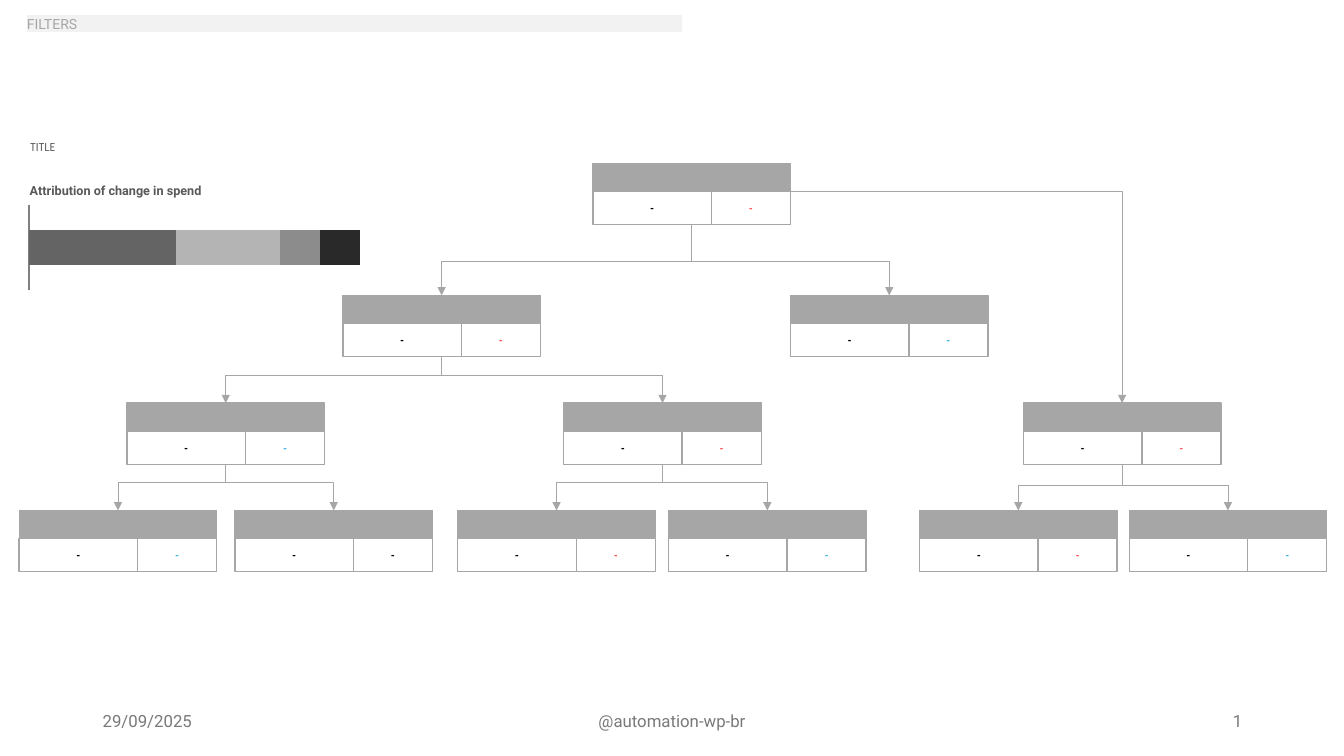
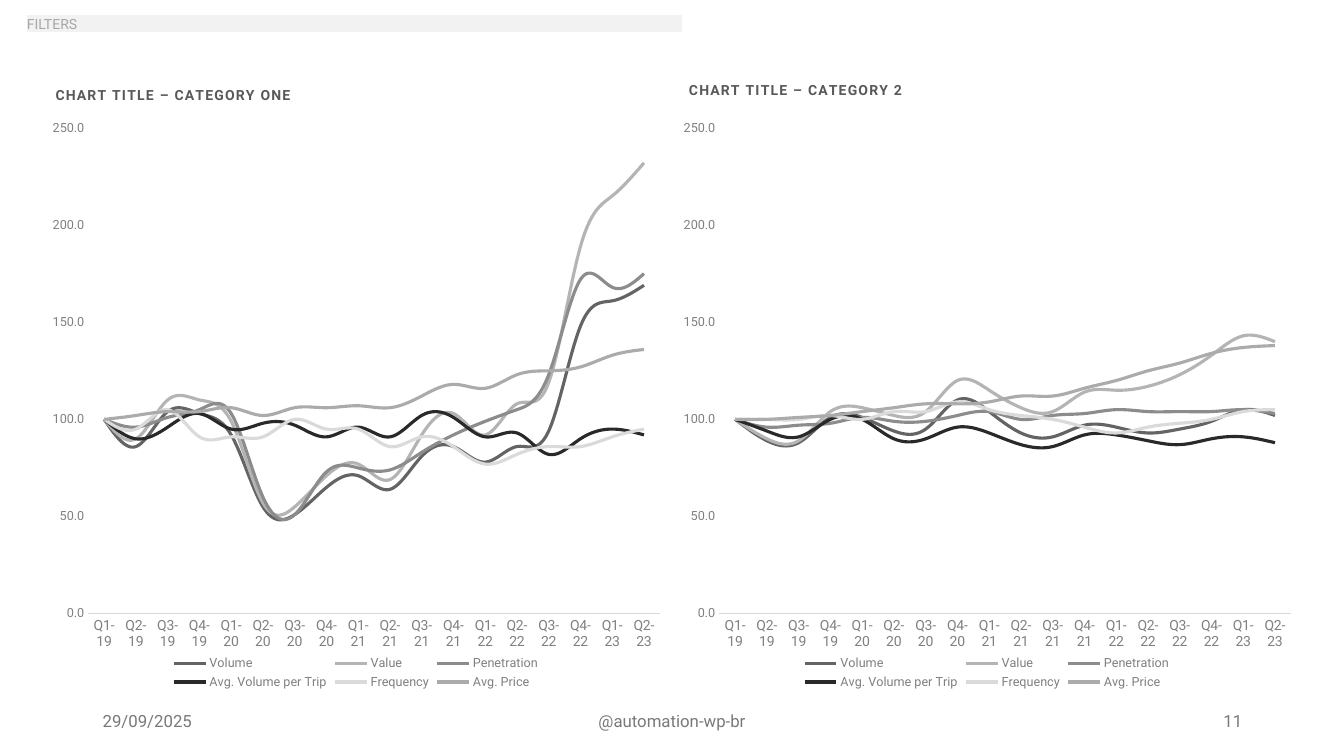
from lxml import etree
from pptx import Presentation
from pptx.chart.data import CategoryChartData
from pptx.dml.color import RGBColor
from pptx.enum.chart import XL_CHART_TYPE, XL_LEGEND_POSITION, XL_TICK_LABEL_POSITION, XL_TICK_MARK
from pptx.enum.shapes import MSO_CONNECTOR, MSO_SHAPE
from pptx.enum.text import MSO_ANCHOR, PP_ALIGN
from pptx.oxml.ns import qn
from pptx.util import Inches, Pt

STACKED_BAR = XL_CHART_TYPE.BAR_STACKED_100
LINE_CHART = XL_CHART_TYPE.LINE
LEGEND_BOTTOM = XL_LEGEND_POSITION.BOTTOM
NO_LABELS = XL_TICK_LABEL_POSITION.NONE
NO_TICK = XL_TICK_MARK.NONE
ELBOW = MSO_CONNECTOR.ELBOW
RECTANGLE = MSO_SHAPE.RECTANGLE
TOP, MIDDLE = MSO_ANCHOR.TOP, MSO_ANCHOR.MIDDLE
LEFT, CENTER, RIGHT = PP_ALIGN.LEFT, PP_ALIGN.CENTER, PP_ALIGN.RIGHT

BODY, NARROW = "Roboto", "Roboto Condensed"
BLACK, WHITE, RED, BLUE = "000000", "FFFFFF", "FF5757", "44B3E1"
GREY, BAND, DARK, AXIS, RULE, FOOTER = "A6A6A6", "F2F2F2", "595959", "808080", "D9D9D9", "797979"
SERIES_COLOURS = ["646464", "B4B4B4", "8C8C8C", "292929", "DADADA", "ABABAB"]

NODE_WIDTH, HEADER_HEIGHT, VALUE_HEIGHT, VALUE_SHARE = 14.7, 3.7, 4.4, 0.6
LEVELS = [21.6, 39.07, 53.33, 67.53]
NODES = {
    "total": (44.11, 0, RED),
    "left": (25.51, 1, RED),
    "right": (58.81, 1, BLUE),
    "left a": (9.45, 2, BLUE),
    "left b": (41.94, 2, RED),
    "side": (76.14, 2, RED),
    "left a1": (1.43, 3, BLUE),
    "left a2": (17.48, 3, BLACK),
    "left b1": (34.06, 3, RED),
    "left b2": (49.74, 3, BLUE),
    "side 1": (68.42, 3, RED),
    "side 2": (84.02, 3, BLUE),
}
BRANCHES = [
    ("total", ("left", "right"), 0.67),
    ("left", ("left a", "left b"), 0.65),
    ("left a", ("left a1", "left a2"), 0.65),
    ("left b", ("left b1", "left b2"), 0.65),
    ("side", ("side 1", "side 2"), 0.69),
]

QUARTERS = [f"Q{quarter}-{year}" for year in range(19, 24) for quarter in range(1, 5)][:18]
MEASURES = ["Volume", "Value", "Penetration", "Avg. Volume per Trip", "Frequency", "Avg. Price"]
CATEGORY_ONE = [
    [100, 86, 104, 103, 92, 55, 51, 65, 71, 64, 81, 86, 78, 86, 94, 148, 161, 169],
    [100, 90, 110, 110, 99, 57, 55, 71, 77, 69, 92, 103, 92, 108, 119, 189, 215, 232],
    [100, 96, 101, 105, 103, 60, 51, 73, 75, 74, 83, 92, 99, 105, 123, 172, 168, 175],
    [100, 90, 96, 103, 95, 98, 97, 91, 96, 91, 102, 101, 91, 93, 82, 90, 95, 92],
    [100, 95, 105, 91, 91, 91, 100, 95, 95, 86, 91, 86, 77, 82, 86, 86, 91, 95],
    [100, 102, 104, 104, 106, 102, 106, 106, 107, 106, 112, 118, 116, 123, 125, 127, 133, 136],
]
CATEGORY_TWO = [
    [100, 89, 88, 101, 101, 94, 95, 110, 104, 93, 91, 97, 96, 93, 95, 99, 105, 102],
    [100, 90, 89, 104, 106, 102, 104, 120, 115, 106, 104, 114, 115, 117, 123, 133, 143, 140],
    [100, 96, 97, 98, 101, 99, 99, 102, 104, 100, 102, 103, 105, 104, 104, 104, 105, 103],
    [100, 94, 91, 100, 100, 90, 90, 96, 93, 87, 86, 92, 92, 89, 87, 90, 91, 88],
    [100, 100, 100, 102, 100, 104, 104, 109, 105, 102, 100, 96, 93, 96, 98, 100, 104, 105],
    [100, 100, 101, 102, 104, 106, 108, 108, 109, 112, 112, 116, 120, 125, 129, 134, 137, 138],
]


def colour(code):
    return RGBColor.from_string(code)


def set_font(font, size, code, name=BODY, bold=False):
    font.size, font.name, font.bold = Pt(size), name, bold
    font.color.rgb = colour(code)


def write(frame, text, size=12, code=BLACK, name=BODY, bold=False, align=LEFT, spacing=0):
    para = frame.paragraphs[0]
    para.alignment = align
    span = para.add_run()
    span.text = text
    set_font(span.font, size, code, name, bold)
    if spacing:
        span.font._element.set("spc", str(spacing))


def place(element, index, **shares):
    for old in element.findall(qn("c:layout")):
        element.remove(old)
    layout = etree.Element(qn("c:layout"))
    manual = etree.SubElement(layout, qn("c:manualLayout"))
    if "w" in shares:
        etree.SubElement(manual, qn("c:layoutTarget")).set("val", "inner")
    for side in "xy":
        etree.SubElement(manual, qn(f"c:{side}Mode")).set("val", "edge")
    for side, share in shares.items():
        etree.SubElement(manual, qn(f"c:{side}")).set("val", str(share))
    element.insert(index, layout)


class Report:
    def __init__(self):
        self.deck = Presentation()
        self.deck.slide_width, self.deck.slide_height = Inches(13.33), Inches(7.5)
        self.page = None

    def x(self, share):
        return round(self.deck.slide_width * share / 100)

    def y(self, share):
        return round(self.deck.slide_height * share / 100)

    def area(self, left, top, width, height):
        return self.x(left), self.y(top), self.x(width), self.y(height)

    def add_page(self, number):
        self.page = self.deck.slides.add_slide(self.deck.slide_layouts[6])
        for left, width, text, align in (
            (6.9, 22.5, "29/09/2025", LEFT),
            (33.13, 33.75, "@automation-wp-br", CENTER),
            (70.67, 22.5, number, RIGHT),
        ):
            self.label((left, 92.67, width, 5.33), text, anchor=MIDDLE, code=FOOTER, align=align)

    def add_filters(self):
        band = self.box((2, 2, 48.76, 2.27), BAND)
        frame = band.text_frame
        frame.vertical_anchor = TOP
        frame.margin_left = frame.margin_right = frame.margin_top = frame.margin_bottom = 0
        write(frame, "FILTERS", size=10, code=GREY)

    def label(self, area, text, anchor=TOP, **style):
        frame = self.page.shapes.add_textbox(*self.area(*area)).text_frame
        frame.word_wrap = True
        frame.vertical_anchor = anchor
        write(frame, text, **style)

    def box(self, area, fill, line=None):
        shape = self.page.shapes.add_shape(RECTANGLE, *self.area(*area))
        shape.shadow.inherit = False
        shape.fill.solid()
        shape.fill.fore_color.rgb = colour(fill)
        if line:
            shape.line.color.rgb = colour(line)
            shape.line.width = Pt(1)
        else:
            shape.line.fill.background()
        shape.text_frame.word_wrap = True
        shape.text_frame.vertical_anchor = MIDDLE
        return shape

    def node(self, left, level, change_colour):
        top = LEVELS[level]
        self.box((left, top, NODE_WIDTH, HEADER_HEIGHT), GREY, GREY)
        value_width = NODE_WIDTH * VALUE_SHARE
        for start, width, code in (
            (left, value_width, BLACK),
            (left + value_width, NODE_WIDTH - value_width, change_colour),
        ):
            cell = self.box((start, top + HEADER_HEIGHT, width, VALUE_HEIGHT), WHITE, GREY)
            write(cell.text_frame, "-", size=8, code=code, name=NARROW, bold=True, align=CENTER)

    def arrow(self, *ends):
        connector = self.page.shapes.add_connector(ELBOW, *ends)
        connector.line.color.rgb = colour(GREY)
        connector.line.width = Pt(0.5)
        etree.SubElement(connector.line._get_or_add_ln(), qn("a:tailEnd")).set("type", "triangle")
        properties = connector._element.spPr
        etree.SubElement(properties, qn("a:effectLst"))
        return properties

    def branch(self, parent, child, bend):
        (parent_left, parent_level, _), (child_left, child_level, _) = NODES[parent], NODES[child]
        x1, x2 = (self.x(left + NODE_WIDTH / 2) for left in (parent_left, child_left))
        y1, y2 = self.y(LEVELS[parent_level] + HEADER_HEIGHT), self.y(LEVELS[child_level])
        middle_x, middle_y = (x1 + x2) // 2, (y1 + y2) // 2
        half_drop, half_run = (y2 - y1) // 2, abs(x2 - x1) // 2
        turn = 1 if x2 < x1 else -1
        properties = self.arrow(
            middle_x - turn * half_drop, middle_y - half_run,
            middle_x + turn * half_drop, middle_y + half_run,
        )
        properties.find(qn("a:xfrm")).set("rot", str(turn % 4 * 5400000))
        geometry = properties.find(qn("a:prstGeom"))
        guides = geometry.find(qn("a:avLst"))
        if guides is None:
            guides = etree.SubElement(geometry, qn("a:avLst"))
        guide = etree.SubElement(guides, qn("a:gd"))
        guide.set("name", "adj1")
        guide.set("fmla", f"val {round(bend * 100000)}")

    def side_branch(self, parent, child):
        (parent_left, parent_level, _), (child_left, child_level, _) = NODES[parent], NODES[child]
        properties = self.arrow(
            self.x(parent_left + NODE_WIDTH * VALUE_SHARE),
            self.y(LEVELS[parent_level] + HEADER_HEIGHT),
            self.x(child_left + NODE_WIDTH / 2),
            self.y(LEVELS[child_level]),
        )
        properties.find(qn("a:prstGeom")).set("prst", "bentConnector2")

    def chart(self, kind, area, categories, series, title, title_at, plot_at, **title_style):
        data = CategoryChartData()
        data.categories = categories
        for name, values in series:
            data.add_series(name, values)
        chart = self.page.shapes.add_chart(kind, *self.area(*area), data).chart
        set_font(chart.font, 9, BLACK)
        chart.has_title = True
        write(chart.chart_title.text_frame, title, code=DARK, bold=True, **title_style)
        place(chart.chart_title._element, 1, **title_at)
        place(chart._chartSpace.chart.plotArea, 0, **plot_at)
        chart.has_legend = False
        chart.plots[0].vary_by_categories = False
        for axis in (chart.category_axis, chart.value_axis):
            axis.has_major_gridlines = False
            axis.major_tick_mark = axis.minor_tick_mark = NO_TICK
        return chart

    def bar_chart(self, area, title, values):
        series = [(f"Series {number}", [value]) for number, value in enumerate(values, 1)]
        chart = self.chart(
            STACKED_BAR, area, ["1"], series, title,
            dict(x=0.03, y=0.04), dict(x=0.035, y=0.22, w=0.93, h=0.62), size=9,
        )
        plot = chart.plots[0]
        plot.gap_width, plot.overlap = 150, 100
        for bar, code in zip(plot.series, SERIES_COLOURS):
            bar.invert_if_negative = False
            bar.format.fill.solid()
            bar.format.fill.fore_color.rgb = colour(code)
        chart.value_axis.visible = False
        axis = chart.category_axis
        axis.tick_label_position = NO_LABELS
        axis.format.line.color.rgb = colour(AXIS)
        axis.format.line.width = Pt(1.5)

    def line_chart(self, area, title, rows, title_at):
        chart = self.chart(
            LINE_CHART, area, QUARTERS, zip(MEASURES, rows), title, title_at,
            dict(x=0.076, y=0.098, w=0.906, h=0.775), size=10, spacing=100,
        )
        for curve, code in zip(chart.plots[0].series, SERIES_COLOURS):
            curve.smooth = True
            curve.format.line.color.rgb = colour(code)
            curve.format.line.width = Pt(2.25)
        chart.has_legend = True
        chart.legend.position = LEGEND_BOTTOM
        chart.legend.include_in_layout = False
        set_font(chart.legend.font, 9, AXIS)
        quarters, values = chart.category_axis, chart.value_axis
        set_font(quarters.tick_labels.font, 10, AXIS)
        quarters.format.line.color.rgb = colour(RULE)
        quarters.format.line.width = Pt(0.75)
        set_font(values.tick_labels.font, 9, AXIS)
        values.tick_labels.number_format = "0.0"
        values.tick_labels.number_format_is_linked = False
        values.format.line.fill.background()
        values.minimum_scale, values.maximum_scale, values.major_unit = 0, 250, 50


def main():
    report = Report()

    report.add_page("1")
    report.label((1.5, 17.87, 32.7, 3.2), "TITLE", size=8, code=DARK, name=NARROW)
    report.bar_chart((1.25, 23.07, 26.5, 18.27), "Attribution of change in spend", [-44, 31, -12, -12])
    for parent, children, bend in BRANCHES:
        for child in children:
            report.branch(parent, child, bend)
    report.side_branch("total", "side")
    for node in NODES.values():
        report.node(*node)
    report.add_filters()

    report.add_page("11")
    for left, title, rows, title_at in (
        (49.95, "CHART TITLE – CATEGORY 2", CATEGORY_TWO, dict(x=0.024, y=0.02)),
        (3, "CHART TITLE – CATEGORY ONE", CATEGORY_ONE, dict(x=0.02, y=0.028)),
    ):
        report.line_chart((left, 8.8, 46.95, 82.93), title, rows, title_at)
    report.add_filters()

    report.deck.save("out.pptx")


if __name__ == "__main__":
    main()
